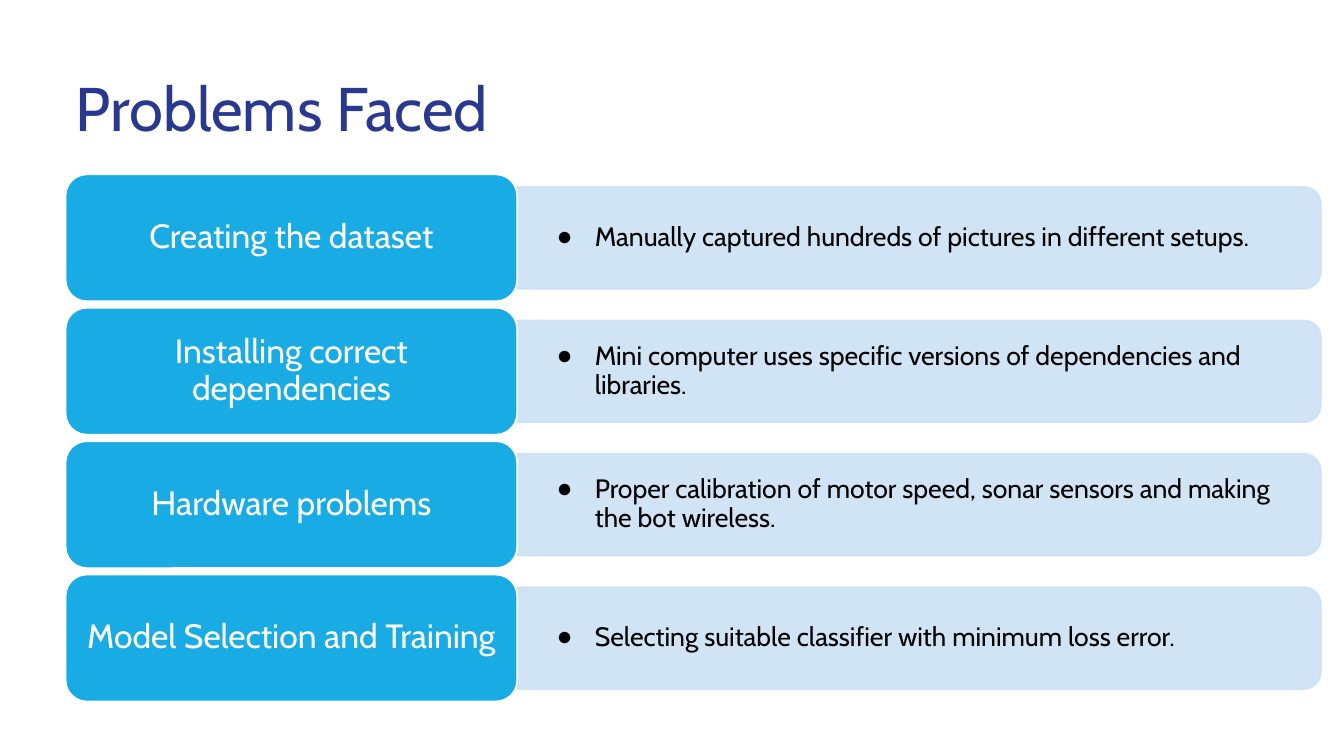
from lxml.etree import SubElement
from pptx import Presentation
from pptx.dml.color import RGBColor
from pptx.enum.shapes import MSO_SHAPE
from pptx.enum.text import MSO_ANCHOR, PP_ALIGN
from pptx.oxml.ns import qn
from pptx.util import Inches, Pt

COLORS = {
    "title": "2A3990",
    "label": "19ACE4",
    "band": "CBE2F5",
    "white": "FFFFFF",
    "black": "000000",
}
FONT = "Cabin"
BULLET_FONT = "Arial"
PROBLEMS = [
    ("Creating the dataset",
     "Manually captured hundreds of pictures in different setups."),
    ("Installing correct dependencies",
     "Mini computer uses specific versions of dependencies and libraries."),
    ("Hardware problems",
     "Proper calibration of motor speed, sonar sensors and making the bot wireless."),
    ("Model Selection and Training",
     "Selecting suitable classifier with minimum loss error."),
]

LEFT, LABEL_WIDTH, BAND_WIDTH = 0.65, 4.48, 7.97
BAND_LEFT = LEFT + LABEL_WIDTH
GRID_TOP, GRID_BOTTOM = 1.73, 6.96
LABEL_HEIGHT, BAND_HEIGHT, DETAIL_HEIGHT = 1.26, 1.01, 0.91
ROW_PITCH = (GRID_BOTTOM - GRID_TOP - LABEL_HEIGHT) / (len(PROBLEMS) - 1)
CORNER = 0.167


def color(name):
    return RGBColor.from_string(COLORS[name])


def write_text(shape, text, size, color_name, align=PP_ALIGN.LEFT, margins=(0.1, 0.05)):
    text_frame = shape.text_frame
    text_frame.text = text
    text_frame.word_wrap = True
    text_frame.vertical_anchor = MSO_ANCHOR.MIDDLE
    text_frame.margin_left = text_frame.margin_right = Inches(margins[0])
    text_frame.margin_top = text_frame.margin_bottom = Inches(margins[1])
    paragraph = text_frame.paragraphs[0]
    paragraph.alignment = align
    paragraph.line_spacing = 0.9
    font = paragraph.runs[0].font
    font.name = FONT
    font.size = Pt(size)
    font.color.rgb = color(color_name)
    return paragraph


def add_text(slide, box, *style, **options):
    shape = slide.shapes.add_textbox(*map(Inches, box))
    return write_text(shape, *style, **options)


def add_block(slide, preset, box, fill_name, line_name):
    shape = slide.shapes.add_shape(preset, *map(Inches, box))
    shape.shadow.inherit = False
    shape.adjustments[0] = CORNER
    shape.fill.solid()
    shape.fill.fore_color.rgb = color(fill_name)
    shape.line.color.rgb = color(line_name)
    shape.line.width = Pt(1.25)
    return shape


def add_band(slide, middle):
    box = (BAND_LEFT + (BAND_WIDTH - BAND_HEIGHT) / 2, middle - BAND_WIDTH / 2,
           BAND_HEIGHT, BAND_WIDTH)
    band = add_block(slide, MSO_SHAPE.ROUND_2_SAME_RECTANGLE, box, "band", "band")
    band.rotation = 90
    for color_element in band._element.spPr.iter(qn("a:srgbClr")):
        SubElement(color_element, qn("a:alpha"), val="90000")


def add_bullet(paragraph):
    properties = paragraph._p.get_or_add_pPr()
    properties.set("marL", str(Inches(0.5)))
    properties.set("indent", str(Inches(-0.38)))
    bullet_color = SubElement(properties, qn("a:buClr"))
    SubElement(bullet_color, qn("a:srgbClr"), val=COLORS["black"])
    SubElement(properties, qn("a:buFont"), typeface=BULLET_FONT)
    SubElement(properties, qn("a:buChar"), char="●")


def add_problem(slide, row, label, detail):
    top = GRID_TOP + row * ROW_PITCH
    middle = top + LABEL_HEIGHT / 2
    add_band(slide, middle)
    detail_box = (BAND_LEFT, middle - DETAIL_HEIGHT / 2, BAND_WIDTH - 0.04, DETAIL_HEIGHT)
    add_bullet(add_text(slide, detail_box, detail, 19, "black", margins=(0.27, 0.14)))
    label_box = (LEFT, top, LABEL_WIDTH, LABEL_HEIGHT)
    block = add_block(slide, MSO_SHAPE.ROUNDED_RECTANGLE, label_box, "label", "white")
    write_text(block, label, 24, "white", align=PP_ALIGN.CENTER)


def main():
    presentation = Presentation()
    presentation.slide_width = Inches(13.33)
    presentation.slide_height = Inches(7.5)
    slide = presentation.slides.add_slide(presentation.slide_layouts[6])
    add_text(slide, (LEFT, 0.3, 10.83, 1.62), "Problems Faced", 44, "title")
    for row, (label, detail) in enumerate(PROBLEMS):
        add_problem(slide, row, label, detail)
    presentation.save("out.pptx")


if __name__ == "__main__":
    main()
